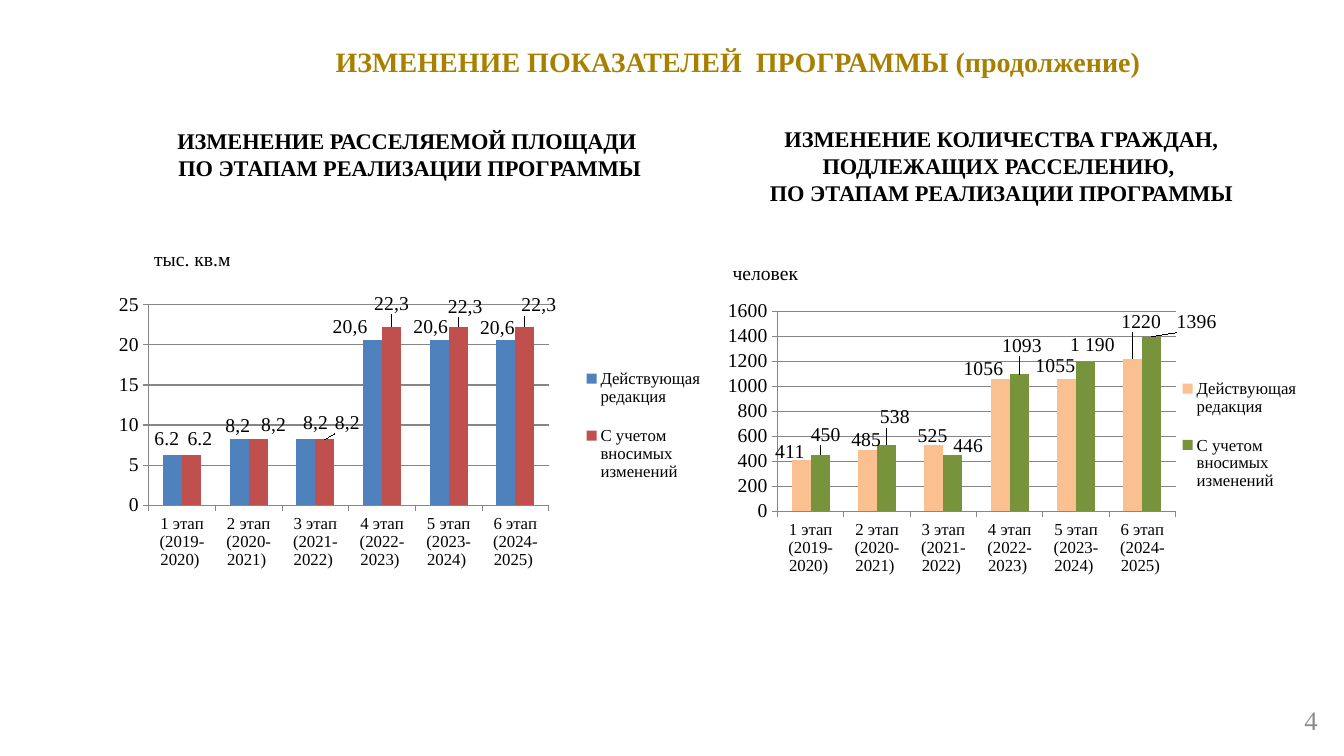
from lxml import etree
from pptx import Presentation
from pptx.chart.data import CategoryChartData
from pptx.dml.color import RGBColor
from pptx.enum.chart import XL_CHART_TYPE, XL_LEGEND_POSITION, XL_TICK_MARK
from pptx.enum.text import MSO_ANCHOR, PP_ALIGN
from pptx.oxml.ns import qn
from pptx.util import Pt

FONT = "Times New Roman"
HEX = {
    "gold": "A88000", "black": "000000", "gray": "8C8C8C", "grid": "868686",
    "blue": "4F81BD", "red": "C0504D", "peach": "FAC090", "green": "77933C",
}
TITLE = "ИЗМЕНЕНИЕ ПОКАЗАТЕЛЕЙ  ПРОГРАММЫ (продолжение)"
STAGES = [f"{n} этап ({2018 + n}-{2019 + n}) " for n in range(1, 7)]
NAMES = ["Действующая редакция ", "С учетом вносимых изменений"]

# box (left, top, width, height in points), lines, size, bold, align, colour
LEFT, MID, RIGHT = PP_ALIGN.LEFT, PP_ALIGN.CENTER, PP_ALIGN.RIGHT
TEXTS = [
    ((727.2, 503.3, 221, 22.3), ["4"], 19, False, RIGHT, "gray"),
    ((104.4, 87.1, 376.6, 46.1),
     ["ИЗМЕНЕНИЕ РАССЕЛЯЕМОЙ ПЛОЩАДИ ", "ПО ЭТАПАМ РЕАЛИЗАЦИИ ПРОГРАММЫ"],
     16, True, MID, "black"),
    ((527, 85.7, 376.6, 65.5),
     ["ИЗМЕНЕНИЕ КОЛИЧЕСТВА ГРАЖДАН, ПОДЛЕЖАЩИХ РАССЕЛЕНИЮ, ",
      "ПО ЭТАПАМ РЕАЛИЗАЦИИ ПРОГРАММЫ"], 16, True, MID, "black"),
    ((103, 172.8, 115.2, 24.5), ["тыс. кв.м"], 14, False, LEFT, "black"),
    ((516.2, 182.9, 106.6, 24.5), ["человек"], 14, False, LEFT, "black"),
]

# Series: colour, values, own label texts (None shows the value),
# label shifts in points. Plot and legend: shares of the chart.
CHARTS = [
    {"box": (79.2, 198, 436.3, 342), "top": 25, "step": 5,
     "plot": (0.062, 0.058, 0.655, 0.418), "legend": (0.767, 0.15, 0.21, 0.32),
     "series": [
         ("blue", [6.2, 8.23, 8.23, 20.59, 20.59, 20.59],
          [None, "8,2", "8,2", "20,6", "20,6", "20,6"],
          [(-4, -1), (-1, 1), (7, -1), (-16, 1), (-6, 1), (-6, 2)]),
         ("red", [6.2, 8.23, 8.23, 22.25, 22.25, 22.25],
          [None, "8,2", "8,2", "22,3", "22,3", "22,3"],
          [(6, -1), (11, 0), (16, -1), (0, -6), (5, -4), (10, -5)]),
     ]},
    {"box": (489.6, 203, 447.8, 337), "top": 1600, "step": 200,
     "plot": (0.147, 0.057, 0.635, 0.424), "legend": (0.784, 0.16, 0.2, 0.32),
     "series": [
         ("peach", [411, 485, 525, 1056, 1055, 1220], [None] * 6,
          [(-8, 5), (-1, 3), (-1, 4), (-12, 3), (-8, 1), (6, -16)]),
         ("green", [449, 531, 445, 1093, 1189, 1396],
          ["450", "538", "446", None, "1 190", None],
          [(4, -4), (6, -9), (11, 4), (2, -10), (5, -2), (32, 0)]),
     ]},
]


def color(name):
    return RGBColor.from_string(HEX[name])


def style(font, size, name="black", bold=False):
    font.name, font.size, font.bold = FONT, Pt(size), bold
    font.color.rgb = color(name)


def fill_text(frame, lines, size, bold, align, name):
    frame.word_wrap = True
    for i, line in enumerate(lines):
        para = frame.add_paragraph() if i else frame.paragraphs[0]
        para.alignment = align
        run = para.add_run()
        run.text = line
        style(run.font, size, name, bold)


def place(node, spot, **vals):
    """Give a chart part a manual layout as child number spot."""
    for old in node.findall(qn("c:layout")):
        node.remove(old)
    layout = etree.Element(qn("c:layout"))
    manual = etree.SubElement(layout, qn("c:manualLayout"))
    for tag, val in vals.items():
        etree.SubElement(manual, qn(f"c:{tag}")).set("val", str(val))
    node.insert(spot, layout)


def frame_part(node, spot, box, **extra):
    x, y, w, h = box
    place(node, spot, **extra, xMode="edge", yMode="edge", x=x, y=y, w=w, h=h)


def style_axis(axis, size):
    style(axis.tick_labels.font, size)
    axis.major_tick_mark = XL_TICK_MARK.OUTSIDE
    axis.minor_tick_mark = XL_TICK_MARK.NONE
    axis.format.line.color.rgb = color("grid")
    axis.format.line.width = Pt(0.75)


def label_points(series, texts):
    labels = series.data_labels
    labels.show_value = True
    style(labels.font, 14)
    for i, text in enumerate(texts):
        label = series.points[i].data_label
        if text:
            run = label.text_frame.paragraphs[0].add_run()
            run.text = text
            style(run.font, 14)
        else:
            style(label.font, 14)


def add_bars(slide, spec_):
    data = CategoryChartData()
    data.categories = STAGES
    for name, row in zip(NAMES, spec_["series"]):
        data.add_series(name, row[1])
    box = spec_["box"]
    chart = slide.shapes.add_chart(
        XL_CHART_TYPE.COLUMN_CLUSTERED, *map(Pt, box), data).chart
    chart.has_title = False
    chart.font.name, chart.font.size = "Calibri", Pt(10)
    chart.font.color.rgb = color("black")

    style_axis(chart.category_axis, 12)
    axis = chart.value_axis
    style_axis(axis, 14)
    axis.minimum_scale, axis.maximum_scale = 0, spec_["top"]
    axis.major_unit = spec_["step"]
    axis.has_major_gridlines = True
    axis.major_gridlines.format.line.color.rgb = color("grid")
    axis.major_gridlines.format.line.width = Pt(0.75)

    plot = chart.plots[0]
    plot.gap_width, plot.overlap, plot.vary_by_categories = 150, 0, False
    shifts = []
    for series, (name, _, texts, moves) in zip(plot.series, spec_["series"]):
        series.format.fill.solid()
        series.format.fill.fore_color.rgb = color(name)
        label_points(series, texts)
        shifts += moves

    chart.has_legend = True
    legend = chart.legend
    legend.position = XL_LEGEND_POSITION.RIGHT
    legend.include_in_layout = False
    style(legend.font, 12)

    root = chart.element
    for node, (dx, dy) in zip(root.iter(qn("c:dLbl")), shifts):
        place(node, 1, x=round(dx / box[2], 4), y=round(dy / box[3], 4))
    area = next(root.iter(qn("c:plotArea")))
    frame_part(area, 0, spec_["plot"], layoutTarget="inner")
    frame_part(next(root.iter(qn("c:legend"))), 1, spec_["legend"])


def main():
    deck = Presentation()
    deck.slide_width, deck.slide_height = Pt(960), Pt(540)
    slide = deck.slides.add_slide(deck.slide_layouts[5])

    title = slide.shapes.title
    title.left, title.top, title.width, title.height = map(
        Pt, (106.6, 25.9, 841, 41.8))
    frame = title.text_frame
    frame.margin_top, frame.margin_bottom = Pt(0), Pt(3)
    frame.vertical_anchor = MSO_ANCHOR.MIDDLE
    fill_text(frame, [TITLE], 20, True, MID, "gold")
    frame.paragraphs[0].line_spacing = 0.9

    for item in CHARTS:
        add_bars(slide, item)
    for box, *text in TEXTS:
        frame = slide.shapes.add_textbox(*map(Pt, box)).text_frame
        if text[2] is False and text[3] == RIGHT:
            frame.vertical_anchor = MSO_ANCHOR.MIDDLE
        fill_text(frame, *text)
    deck.save("out.pptx")


if __name__ == "__main__":
    main()
